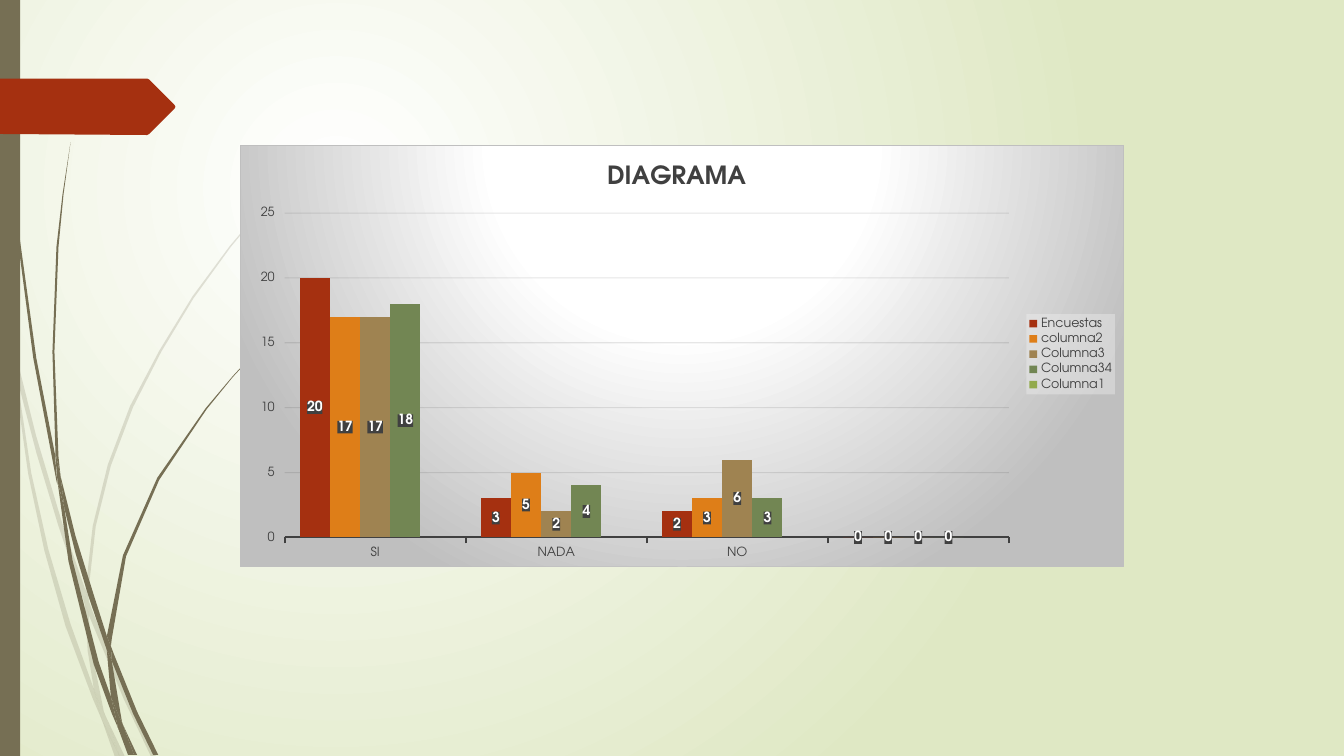
from dataclasses import dataclass

from pptx import Presentation
from pptx.chart.data import CategoryChartData
from pptx.dml.color import RGBColor
from pptx.enum.chart import XL_CHART_TYPE as ChartType
from pptx.enum.chart import XL_LABEL_POSITION as LabelPosition
from pptx.enum.chart import XL_LEGEND_POSITION as LegendPosition
from pptx.enum.chart import XL_TICK_MARK as TickMark
from pptx.enum.shapes import MSO_SHAPE as Shape
from pptx.oxml import parse_xml
from pptx.oxml.ns import nsdecls, qn
from pptx.util import Inches, Pt

@dataclass(frozen=True)
class Theme:
    font: str = "TeX Gyre Adventor"
    olive: str = "766F54"
    accent: str = "A53010"
    pale_green: str = "DFE8C4"
    white: str = "FFFFFF"
    silver: str = "BFBFBF"
    legend_fill: str = "F2F2F2"
    text: str = "404040"
    grid: str = "0D0D0D"
    series: tuple = ("A53010", "DE7E18", "9F8351", "728653", "92AA4C")
    title_size: int = 18
    label_size: int = 10
    axis_size: int = 9

THEME = Theme()
CATEGORIES = ("SI", "NADA", "NO", "")
SURVEY = {
    "Encuestas": (20, 3, 2, 0),
    "columna2": (17, 5, 3, 0),
    "Columna3": (17, 2, 6, 0),
    "Columna34": (18, 4, 3, 0),
    "Columna1": (None,) * 4,
}

# Corners x y of each outline, in hundredths of an inch.
PALE_WISPS = (
    "11 350 9 322 0 282 0 299 10 344",
    "58 522 84 599 85 586 62 520 36 433 14 345 17 376 36 449",
    "92 607 88 596 88 610 123 694 150 751 155 751 127 692",
    "119 751 124 751 105 711",
    "93 683 70 619 48 545 31 469 17 376 11 350 28 470 44 546 65 621 92 693 101 714 99 707",
    "84 599 87 646 93 683 96 692 105 711 103 706 91 646 88 610 88 608",
    "88 584 95 522 110 462 132 404 160 349 192 296 229 245 268 198 290 175 312 154 312 153 289 175"
    " 268 197 228 244 191 294 158 348 129 403 107 461 92 522 85 584 85 586 88 596",
    "101 714 114 751 119 751",
    "88 608 88 610 88 596 85 586 84 599",
    "96 692 93 683 99 707 101 714 119 751 105 711",
)
DARK_WISPS = (
    "7 110 17 233 33 355 56 477 57 481 55 457 55 453 36 355 19 232 8 109 5 48 4 0 3 0 4 48",
    "88 592 106 645 106 633 106 631 93 590 75 532 60 472 64 505 75 549",
    "113 649 110 641 111 656 132 708 152 749 157 749 136 706",
    "110 691 98 657 72 556 64 505 57 477 68 557 93 659 111 708 117 722 116 717",
    "60 472 58 453 54 349 58 245 63 193 70 141 62 193 56 245 52 349 55 449",
    "133 749 136 749 122 719",
    "57 477 64 505 60 472 55 449 55 453",
    "111 633 125 552 158 476 205 406 231 374 245 359 261 344 260 344 245 358 231 373 204 405 156 474"
    " 122 551 106 631 110 641",
    "117 722 127 749 131 749",
    "106 645 110 691 116 706 122 719 121 716 111 656 109 651",
    "106 645 109 651 111 656 110 641 106 631 106 633",
    "116 706 110 691 116 717 117 722 130 749 133 749 122 719",
)
TAG = "0 78 146 78 148 79 173 104 174 106 173 108 148 133 146 134 0 133"

def set_values(target, values):
    for name, value in values.items():
        setattr(target, name, value)

def set_font(font, size, color, bold=False):
    set_values(font, {"name": THEME.font, "size": Pt(size), "bold": bold})
    font.color.rgb = RGBColor.from_string(color)

def solid_xml(color, alpha=100):
    return (f'<a:solidFill {nsdecls("a")}><a:srgbClr val="{color}">'
            f'<a:alpha val="{alpha * 1000}"/></a:srgbClr></a:solidFill>')

def radial_xml(stops, focus):
    """Circular gradient; focus holds the left, top, right and bottom insets in percent."""
    marks = "".join(f'<a:gs pos="{at * 1000}"><a:srgbClr val="{color}"/></a:gs>' for at, color in stops)
    insets = " ".join(f'{side}="{value * 1000}"' for side, value in zip("ltrb", focus))
    return (f'<a:gradFill {nsdecls("a")} rotWithShape="1"><a:gsLst>{marks}</a:gsLst>'
            f'<a:path path="circle"><a:fillToRect {insets}/></a:path></a:gradFill>')

def chart_fill(content):
    return parse_xml(f'<c:spPr {nsdecls("c", "a")}>{content}</c:spPr>')

def replace_fill(properties, fill_xml):
    properties.replace(properties.find(qn("a:solidFill")), parse_xml(fill_xml))

def paint(shape, color, alpha=100):
    shape.shadow.inherit = False
    shape.fill.solid()
    shape.fill.fore_color.rgb = RGBColor.from_string(color)
    shape.line.fill.background()
    if alpha < 100:
        replace_fill(shape._element.spPr, solid_xml(color, alpha))

def add_polygon(shapes, outline, left, top, color, alpha=100):
    numbers = [int(word) / 100 for word in outline.split()]
    corners = [(Inches(left + x), Inches(top + y)) for x, y in zip(numbers[::2], numbers[1::2])]
    builder = shapes.build_freeform(*corners[0])
    builder.add_line_segments(corners[1:], close=True)
    paint(builder.convert_to_shape(), color, alpha)

def add_backdrop(slide):
    slide.background.fill.solid()
    stops = ((0, THEME.white), (100, THEME.pale_green))
    replace_fill(slide._element.find(".//" + qn("p:bgPr")), radial_xml(stops, (50, 50, 100, 100)))

def add_side_decoration(slide, left, top, height):
    for outlines, alpha in ((PALE_WISPS, 20), (DARK_WISPS, 100)):
        group = slide.shapes.add_group_shape()
        for outline in outlines:
            add_polygon(group.shapes, outline, left, top, THEME.olive, alpha)
    bar = slide.shapes.add_shape(Shape.RECTANGLE, Inches(left), Inches(top), Inches(0.2), Inches(height))
    paint(bar, THEME.olive)
    add_polygon(slide.shapes, TAG, left, top, THEME.accent)

def place_part(part, sizes, target=""):
    """Fix a chart part at fractions of the chart's size."""
    values = "".join(f'<c:{key} val="{value}"/>' for key, value in sizes.items())
    layout = parse_xml(f'<c:layout {nsdecls("c")}><c:manualLayout>{target}<c:xMode val="edge"/>'
                       f'<c:yMode val="edge"/>{values}</c:manualLayout></c:layout>')
    for old in part.findall(qn("c:layout")):
        part.remove(old)
    overlay = part.find(qn("c:overlay"))
    if overlay is None:
        part.insert(0, layout)
    else:
        overlay.addprevious(layout)

def style_axes(chart):
    for axis in (chart.category_axis, chart.value_axis):
        set_values(axis, {"major_tick_mark": TickMark.OUTSIDE, "minor_tick_mark": TickMark.NONE})
        set_font(axis.tick_labels.font, THEME.axis_size, THEME.text)
    line = chart.category_axis.format.line
    line.color.rgb = RGBColor.from_string(THEME.text)
    line.width = Pt(1.5)
    axis = chart.value_axis
    set_values(axis, {"minimum_scale": 0, "maximum_scale": 25, "major_unit": 5, "has_major_gridlines": True})
    axis.format.line.fill.background()
    grid = axis._element.find(qn("c:majorGridlines"))
    grid.append(chart_fill(f'<a:ln w="9525">{solid_xml(THEME.grid, 10)}</a:ln>'))

def style_series(plot):
    set_values(plot, {"gap_width": 100, "overlap": 0, "vary_by_categories": False})
    for series, color in zip(plot.series, THEME.series):
        series.format.fill.solid()
        series.format.fill.fore_color.rgb = RGBColor.from_string(color)
        labels = series.data_labels
        set_values(labels, {"show_value": True, "position": LabelPosition.CENTER})
        set_font(labels.font, THEME.label_size, THEME.white, bold=True)
        labels._element.find(qn("c:txPr")).addprevious(chart_fill(solid_xml(THEME.text, 90)))

def add_survey_chart(slide, left, top, width, height):
    data = CategoryChartData()
    data.categories = CATEGORIES
    for name, values in SURVEY.items():
        data.add_series(name, values)
    box = [Inches(length) for length in (left, top, width, height)]
    chart = slide.shapes.add_chart(ChartType.COLUMN_CLUSTERED, *box, data).chart
    set_font(chart.font, THEME.label_size, THEME.text)
    style_axes(chart)
    style_series(chart.plots[0])
    set_values(chart, {"has_title": True, "has_legend": True})
    run = chart.chart_title.text_frame.paragraphs[0].add_run()
    run.text = "DIAGRAMA"
    set_font(run.font, THEME.title_size, THEME.text, bold=True)
    legend = chart.legend
    set_values(legend, {"position": LegendPosition.RIGHT, "include_in_layout": False})
    set_font(legend.font, THEME.axis_size, THEME.text)
    legend._element.find(qn("c:txPr")).addprevious(chart_fill(solid_xml(THEME.legend_fill, 39)))
    space = chart._chartSpace
    place_part(chart.chart_title._element, {"x": 0.41, "y": 0.03})
    place_part(legend._element, {"x": 0.89, "y": 0.4, "w": 0.1, "h": 0.19})
    place_part(space.chart.plotArea, {"x": 0.05, "y": 0.16, "w": 0.82, "h": 0.77},
               '<c:layoutTarget val="inner"/>')
    gradient = radial_xml(((0, THEME.white), (39, THEME.white), (100, THEME.silver)), (50, -80, 50, 180))
    space.chart.addnext(chart_fill(f'{gradient}<a:ln w="9525">{solid_xml(THEME.silver)}</a:ln>'))

def main():
    presentation = Presentation()
    set_values(presentation, {"slide_width": Inches(13.33), "slide_height": Inches(7.5)})
    slide = presentation.slides.add_slide(presentation.slide_layouts[6])
    add_backdrop(slide)
    add_side_decoration(slide, 0, 0, 7.5)
    add_survey_chart(slide, 2.38, 1.44, 8.77, 4.19)
    presentation.save("out.pptx")

if __name__ == "__main__":
    main()
